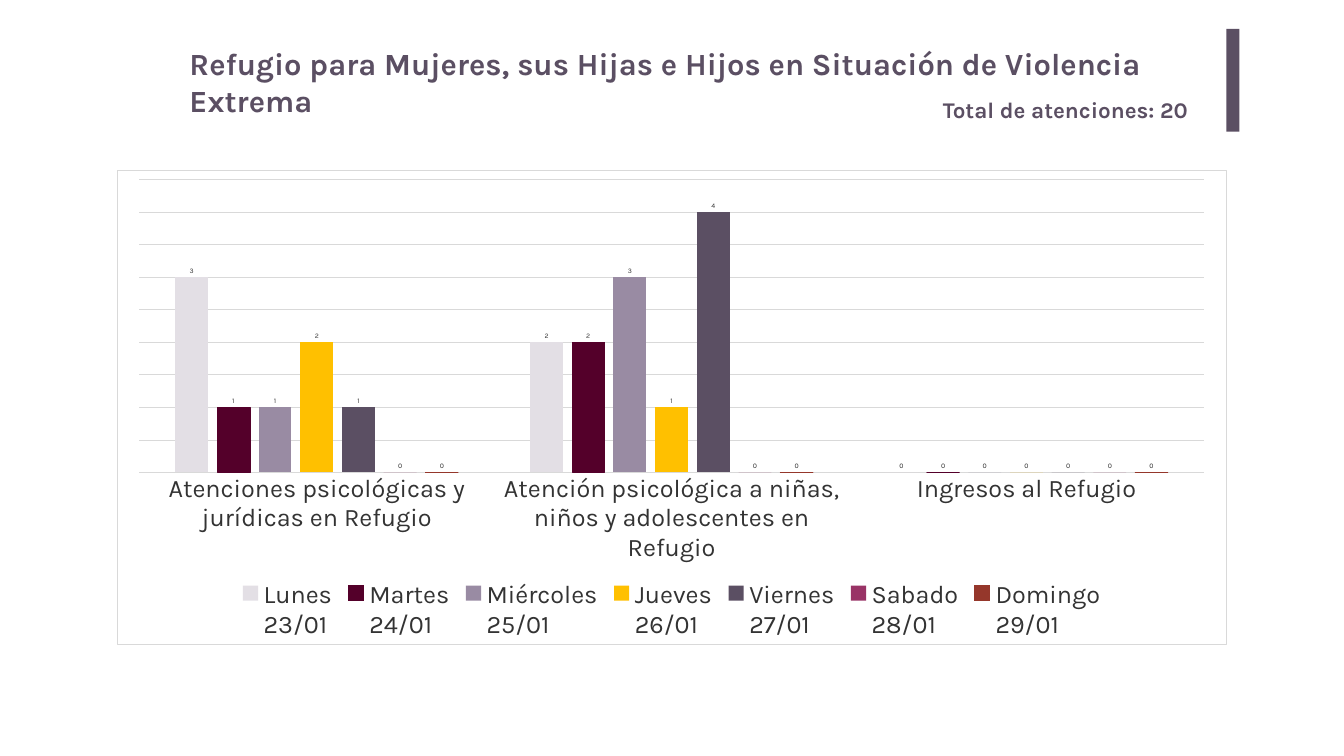
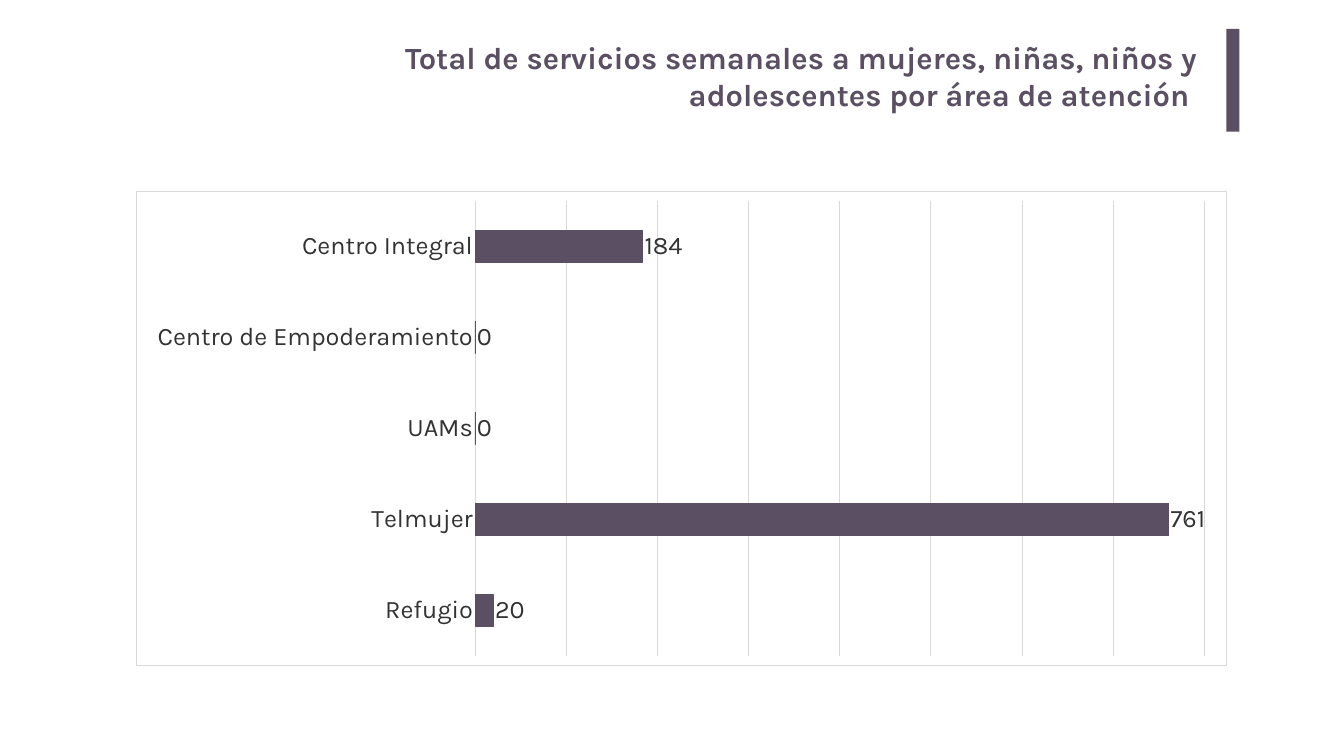
from lxml.etree import fromstring
from pptx import Presentation
from pptx.chart.data import CategoryChartData
from pptx.dml.color import RGBColor
from pptx.enum.chart import (XL_CHART_TYPE, XL_LABEL_POSITION,
                             XL_LEGEND_POSITION, XL_TICK_MARK)
from pptx.enum.shapes import MSO_SHAPE
from pptx.enum.text import PP_ALIGN
from pptx.oxml.ns import qn
from pptx.util import Cm, Pt

FONT = "Karla"
COLORS = {
    "plum": "5B4F63", "ink": "333333", "black": "000000", "grid": "D9D9D9",
    "white": "FFFFFF", "mist": "E3DFE5", "wine": "54002A", "lilac": "998BA3",
    "gold": "FFC000", "berry": "993366", "brick": "95372B",
}
BAND_LEFT = 61.8
CHART_HEIGHT = 23.93
HAIRLINE = 0.75
TITLE_SIZE = 44
AXIS_SIZE = 36
SMALL_SIZE = 10

SHELTER_SERVICES = [
    "Atenciones psicológicas y jurídicas en Refugio",
    "Atención psicológica a niñas, niños y adolescentes en Refugio",
    "Ingresos al Refugio",
]
SHELTER_DAYS = [
    ("Lunes\n23/01", (3, 2, 0), "mist", False),
    ("Martes\n24/01", (1, 2, 0), "wine", True),
    ("Miércoles\n25/01", (1, 3, 0), "lilac", False),
    ("Jueves\n26/01", (2, 1, 0), "gold", False),
    ("Viernes\n27/01", (1, 4, 0), "plum", False),
    ("Sabado\n28/01", (0, 0, 0), "berry", False),
    ("Domingo\n29/01", (0, 0, 0), "brick", True),
]
CARE_AREAS = ["Centro Integral", "Centro de Empoderamiento", "UAMs",
              "Telmujer", "Refugio"]
AREA_TOTALS = [("Series 1", (184, 0, 0, 761, 20), "plum", True)]


def rgb(color):
    """Return the named palette colour."""
    return RGBColor.from_string(COLORS[color])


def style_font(font, size, color="ink", bold=False):
    """Apply the deck typeface with a size and colour."""
    font.name, font.size, font.bold = FONT, Pt(size), bold
    font.color.rgb = rgb(color)


def style_line(line, color="grid"):
    """Draw a thin line in a palette colour."""
    line.color.rgb = rgb(color)
    line.width = Pt(HAIRLINE)


def add_slide(deck):
    """Add a blank slide with the plum band at the top right."""
    slide = deck.slides.add_slide(deck.slide_layouts[6])
    band = slide.shapes.add_shape(MSO_SHAPE.RECTANGLE, Cm(BAND_LEFT), Cm(1.45),
                                  Cm(0.66), Cm(5.18))
    band.shadow.inherit = False
    band.fill.solid()
    band.fill.fore_color.rgb = rgb("plum")
    band.line.fill.background()
    return slide


def add_heading(slide, text, box, size=TITLE_SIZE, align=PP_ALIGN.LEFT,
                inset=(0.25, 0.13)):
    """Add bold plum text in a box of left, top, width and height."""
    frame = slide.shapes.add_textbox(*map(Cm, box)).text_frame
    frame.word_wrap = True
    frame.margin_left = frame.margin_right = Cm(inset[0])
    frame.margin_top = frame.margin_bottom = Cm(inset[1])
    frame.text = text
    paragraph = frame.paragraphs[0]
    paragraph.alignment = align
    style_font(paragraph.runs[0].font, size, "plum", bold=True)


def frame_chart(chart):
    """Give the chart area a white fill and a thin grey border."""
    frame = fromstring(
        '<c:spPr xmlns:c="http://schemas.openxmlformats.org/drawingml/2006/chart"'
        ' xmlns:a="http://schemas.openxmlformats.org/drawingml/2006/main">'
        f'<a:solidFill><a:srgbClr val="{COLORS["white"]}"/></a:solidFill>'
        f'<a:ln w="{Pt(HAIRLINE)}"><a:solidFill>'
        f'<a:srgbClr val="{COLORS["grid"]}"/></a:solidFill></a:ln></c:spPr>')
    chart._chartSpace.find(qn("c:chart")).addnext(frame)


def style_axes(chart, maximum, step):
    """Show category names and plain gridlines, hiding the value axis."""
    category_axis, value_axis = chart.category_axis, chart.value_axis
    category_axis.major_tick_mark = XL_TICK_MARK.NONE
    category_axis.minor_tick_mark = XL_TICK_MARK.NONE
    style_font(category_axis.tick_labels.font, AXIS_SIZE)
    style_line(category_axis.format.line)
    value_axis.visible = False
    value_axis.minimum_scale, value_axis.maximum_scale = 0, maximum
    value_axis.major_unit = step
    value_axis.has_major_gridlines = True
    style_line(value_axis.major_gridlines.format.line)


def style_series(series, color, outlined, label_size):
    """Colour one series and label its bars with their values."""
    series.format.fill.solid()
    series.format.fill.fore_color.rgb = rgb(color)
    if outlined:
        style_line(series.format.line, color)
    labels = series.data_labels
    labels.show_value = True
    labels.position = XL_LABEL_POSITION.OUTSIDE_END
    style_font(labels.font, label_size)


def add_bars(slide, kind, corner, categories, rows, gap, overlap, maximum,
             step, label_size):
    """Add a framed bar chart reaching from its corner to the band."""
    data = CategoryChartData()
    data.categories = categories
    for name, values, _, _ in rows:
        data.add_series(name, values)
    left, top = corner
    chart = slide.shapes.add_chart(kind, Cm(left), Cm(top), Cm(BAND_LEFT - left),
                                   Cm(CHART_HEIGHT), data).chart
    style_font(chart.font, SMALL_SIZE, "black")
    frame_chart(chart)
    chart.has_title = False
    chart.has_legend = False
    plot = chart.plots[0]
    plot.vary_by_categories = False
    plot.gap_width, plot.overlap = gap, overlap
    style_axes(chart, maximum, step)
    for series, (_, _, color, outlined) in zip(plot.series, rows):
        style_series(series, color, outlined, label_size)
    return chart


def add_legend(chart):
    """Place the legend below the plot."""
    chart.has_legend = True
    chart.legend.position = XL_LEGEND_POSITION.BOTTOM
    chart.legend.include_in_layout = False
    style_font(chart.legend.font, AXIS_SIZE)


def build_shelter_slide(deck):
    """Build the slide on daily care at the shelter."""
    slide = add_slide(deck)
    add_heading(slide, "Total de atenciones: 20", (47.27, 4.7, 13.59, 1.63), 32)
    add_heading(slide, "Refugio para Mujeres, sus Hijas e Hijos en Situación "
                "de Violencia Extrema", (9.3, 2.13, 52.65, 2.13))
    daily_care = add_bars(slide, XL_CHART_TYPE.COLUMN_CLUSTERED, (5.89, 8.56),
                          SHELTER_SERVICES, SHELTER_DAYS, gap=219, overlap=-27,
                          maximum=4.5, step=0.5, label_size=SMALL_SIZE)
    add_legend(daily_care)


def build_totals_slide(deck):
    """Build the slide on weekly services by care area."""
    slide = add_slide(deck)
    add_heading(slide, "Total de servicios semanales a mujeres, niñas, niños y "
                "adolescentes por área de atención ", (16.66, 1.7, 44.2, 5.18),
                align=PP_ALIGN.RIGHT, inset=(0.5, 0.25))
    weekly_services = add_bars(slide, XL_CHART_TYPE.BAR_CLUSTERED, (6.83, 9.63),
                               CARE_AREAS, AREA_TOTALS, gap=182, overlap=0,
                               maximum=800, step=100, label_size=AXIS_SIZE)
    weekly_services.category_axis.reverse_order = True


def main():
    """Build and save the deck."""
    deck = Presentation()
    deck.slide_width, deck.slide_height = Cm(67.73), Cm(38.1)
    build_shelter_slide(deck)
    build_totals_slide(deck)
    deck.save("out.pptx")


if __name__ == "__main__":
    main()
